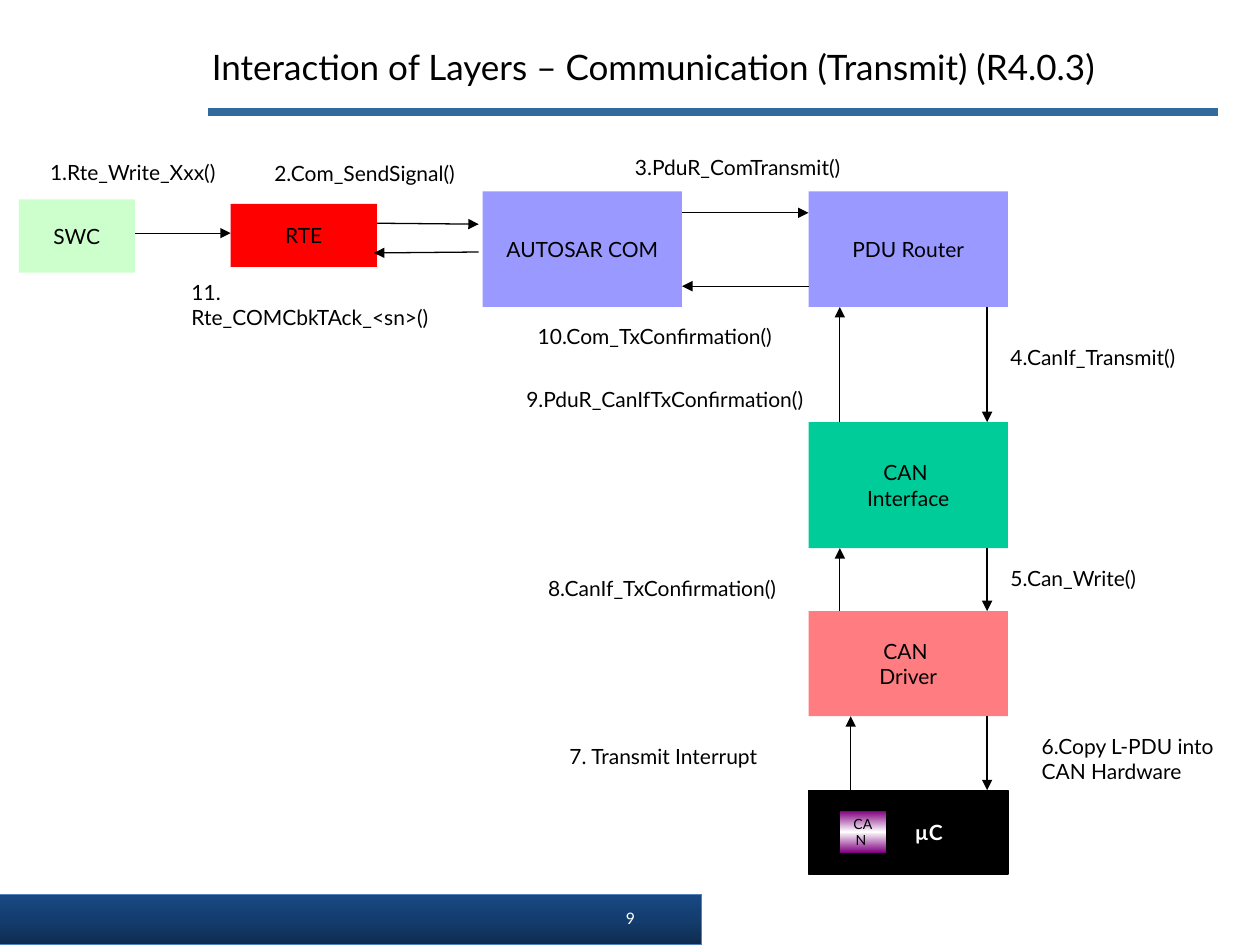
from typing import NamedTuple, Optional

from lxml.etree import SubElement
from pptx import Presentation
from pptx.dml.color import RGBColor
from pptx.enum.shapes import MSO_CONNECTOR, MSO_SHAPE
from pptx.enum.text import MSO_ANCHOR, MSO_AUTO_SIZE, PP_ALIGN
from pptx.oxml.ns import qn
from pptx.util import Cm, Pt

FONT = "Lato"
BLACK = RGBColor(0x00, 0x00, 0x00)
WHITE = RGBColor(0xFF, 0xFF, 0xFF)
RULE_BLUE = RGBColor(0x32, 0x6A, 0x9C)
FOOTER_EDGE = RGBColor(0x4F, 0x81, 0xBD)
FOOTER_DARK = RGBColor(0x0E, 0x2B, 0x4E)
FOOTER_MID = RGBColor(0x14, 0x3D, 0x6F)
FOOTER_LIGHT = RGBColor(0x18, 0x48, 0x84)
LAVENDER = RGBColor(0x99, 0x99, 0xFF)
GREEN = RGBColor(0x00, 0xCC, 0x99)
SALMON = RGBColor(0xFF, 0x7C, 0x80)
MINT = RGBColor(0xCC, 0xFF, 0xCC)
RED = RGBColor(0xFF, 0x00, 0x00)
PURPLE = RGBColor(0x80, 0x00, 0x80)


class Box(NamedTuple):
    """A layer of the stack; lengths in cm."""
    lines: tuple
    x: float
    y: float
    w: float
    h: float
    fill: Optional[RGBColor] = None
    line: Optional[RGBColor] = None
    color: RGBColor = BLACK
    size: float = 12
    bold: bool = False
    left_inset: float = 0.25

    @property
    def right(self) -> float:
        return self.x + self.w

    @property
    def bottom(self) -> float:
        return self.y + self.h


class Label(NamedTuple):
    """Free text; lengths in cm."""
    lines: tuple
    x: float
    y: float
    w: float
    h: float = 0.76
    size: float = 12
    color: RGBColor = BLACK
    align: Optional[PP_ALIGN] = None
    anchor: MSO_ANCHOR = MSO_ANCHOR.TOP
    grow: bool = True


class Line(NamedTuple):
    x1: float
    y1: float
    x2: float
    y2: float
    color: RGBColor = BLACK
    width: float = 0.75
    arrow: bool = True


STACK_X, STACK_W = 16.3, 4.02
DOWN_X, UP_X, INTERRUPT_X = 19.9, 16.93, 17.15

SWC = Box(("SWC",), 0.38, 4.02, 2.34, 1.48, MINT)
RTE = Box(("RTE",), 4.65, 4.11, 2.95, 1.27, RED)
COM = Box(("AUTOSAR COM",), 9.73, 3.86, STACK_W, 2.33, LAVENDER)
ROUTER = Box(("PDU Router",), STACK_X, 3.86, STACK_W, 2.33, LAVENDER)
CAN_IF = Box(("CAN ", "Interface"), STACK_X, 8.51, STACK_W, 2.54, GREEN)
DRIVER = Box(("CAN ", "Driver"), STACK_X, 12.32, STACK_W, 2.12, SALMON)
MICRO = Box(("µC",), STACK_X, 15.93, STACK_W, 1.69, BLACK, BLACK, WHITE,
            bold=True, left_inset=1.08)
CHIP = Box(("CAN ",), 16.93, 16.35, 0.93, 0.84, size=8)
FOOTER = Box((), -0.03, 18.03, 14.18, 1.02, line=FOOTER_EDGE)

LAYERS = (SWC, RTE, COM, ROUTER, CAN_IF, DRIVER, MICRO)

TITLE = Label(("Interaction of Layers – Communication (Transmit) (R4.0.3)",),
              4.02, 0.79, 20.32, 1.12, size=20, anchor=MSO_ANCHOR.MIDDLE)
PAGE_NUMBER = Label(("9",), 11.86, 18.19, 1.7, 0.69, 9, WHITE,
                    PP_ALIGN.CENTER, grow=False)

CALLS = (
    Label(("1.Rte_Write_Xxx()",), 0.76, 3.1, 5.08),
    Label(("2.Com_SendSignal()",), 5.28, 3.12, 4.29),
    Label(("3.PduR_ComTransmit()",), 12.55, 3, 5.08),
    Label(("4.CanIf_Transmit()",), 20.12, 6.83, 4.45),
    Label(("5.Can_Write()",), 20.12, 11.28, 3.38),
    Label(("6.Copy L-PDU into", "CAN Hardware"), 20.75, 14.66, 4.24, 1.27),
    Label(("7. Transmit Interrupt",), 11.23, 14.86, 4.88),
    Label(("8.CanIf_TxConfirmation()",), 10.8, 11.48, 5.72),
    Label(("9.PduR_CanIfTxConfirmation()",), 10.36, 7.67, 6.35),
    Label(("10.Com_TxConfirmation()",), 10.59, 6.4, 5.92),
    Label(("11. Rte_COMCbkTAck_<sn>()",), 3.61, 5.51, 5.84),
)

ARROWS = (
    Line(SWC.right, 4.7, RTE.x, 4.7),
    Line(RTE.right, 4.5, 9.65, 4.52),
    Line(9.65, 5.08, 7.54, 5.1),
    Line(COM.right, 4.29, ROUTER.x, 4.29),
    Line(ROUTER.x, 5.77, COM.right, 5.77),
    Line(DOWN_X, ROUTER.bottom, DOWN_X, CAN_IF.y),
    Line(DOWN_X, CAN_IF.bottom, DOWN_X, DRIVER.y),
    Line(DOWN_X, DRIVER.bottom, DOWN_X, MICRO.y),
    Line(INTERRUPT_X, MICRO.y, INTERRUPT_X, DRIVER.bottom),
    Line(UP_X, DRIVER.y, UP_X, CAN_IF.bottom),
    Line(UP_X, CAN_IF.y, UP_X, ROUTER.bottom),
)

RULES = tuple(Line(x, 2.26, x + 18.03, 2.26, RULE_BLUE, 4.5, False)
              for x in (4.19, 6.53))


def write_lines(tf, lines, size, color, align, bold=None) -> None:
    for i, line in enumerate(lines):
        p = tf.add_paragraph() if i else tf.paragraphs[0]
        p.alignment = align
        r = p.add_run()
        r.text = line
        r.font.name = FONT
        r.font.size = Pt(size)
        r.font.bold = bold
        r.font.color.rgb = color


def draw_box(s, box: Box):
    sp = s.shapes.add_shape(MSO_SHAPE.RECTANGLE, Cm(box.x), Cm(box.y),
                            Cm(box.w), Cm(box.h))
    sp.shadow.inherit = False
    if box.fill is not None:
        sp.fill.solid()
        sp.fill.fore_color.rgb = box.fill
    if box.line is None:
        sp.line.fill.background()
    else:
        sp.line.color.rgb = box.line
        sp.line.width = Pt(0.75)
    tf = sp.text_frame
    tf.word_wrap = True
    tf.vertical_anchor = MSO_ANCHOR.MIDDLE
    tf.margin_left = Cm(box.left_inset)
    write_lines(tf, box.lines, box.size, box.color, PP_ALIGN.CENTER, box.bold)
    return sp


def fill_upward(sp, colors) -> None:
    """Gradient with evenly spaced stops, from bottom to top."""
    sp.fill.gradient()
    sp.fill.gradient_angle = 90
    stops = sp._element.spPr.find(qn("a:gradFill")).find(qn("a:gsLst"))
    for stop in list(stops):
        stops.remove(stop)
    for i, color in enumerate(colors):
        stop = SubElement(stops, qn("a:gs"),
                          pos=str(100000 * i // (len(colors) - 1)))
        SubElement(stop, qn("a:srgbClr"), val=str(color))


def draw_label(s, label: Label) -> None:
    sp = s.shapes.add_textbox(Cm(label.x), Cm(label.y), Cm(label.w), Cm(label.h))
    tf = sp.text_frame
    tf.word_wrap = True
    tf.vertical_anchor = label.anchor
    if label.grow:
        tf.auto_size = MSO_AUTO_SIZE.SHAPE_TO_FIT_TEXT
    write_lines(tf, label.lines, label.size, label.color, label.align)


def draw_line(s, line: Line) -> None:
    cxn = s.shapes.add_connector(MSO_CONNECTOR.STRAIGHT, Cm(line.x1), Cm(line.y1),
                                 Cm(line.x2), Cm(line.y2))
    cxn.line.color.rgb = line.color
    cxn.line.width = Pt(line.width)
    if line.arrow:
        SubElement(cxn.line._get_or_add_ln(), qn("a:tailEnd"), type="triangle")
    SubElement(cxn._element.spPr, qn("a:effectLst"))


def main() -> None:
    prs = Presentation()
    prs.slide_width, prs.slide_height = Cm(25.4), Cm(19.05)
    s = prs.slides.add_slide(prs.slide_layouts[6])

    for rule in RULES:
        draw_line(s, rule)
    fill_upward(draw_box(s, FOOTER), (FOOTER_DARK, FOOTER_MID, FOOTER_LIGHT))
    for layer in LAYERS:
        draw_box(s, layer)
    fill_upward(draw_box(s, CHIP), (PURPLE, WHITE, PURPLE))
    for label in (TITLE, PAGE_NUMBER, *CALLS):
        draw_label(s, label)
    for arrow in ARROWS:
        draw_line(s, arrow)
    prs.save("out.pptx")


if __name__ == "__main__":
    main()
